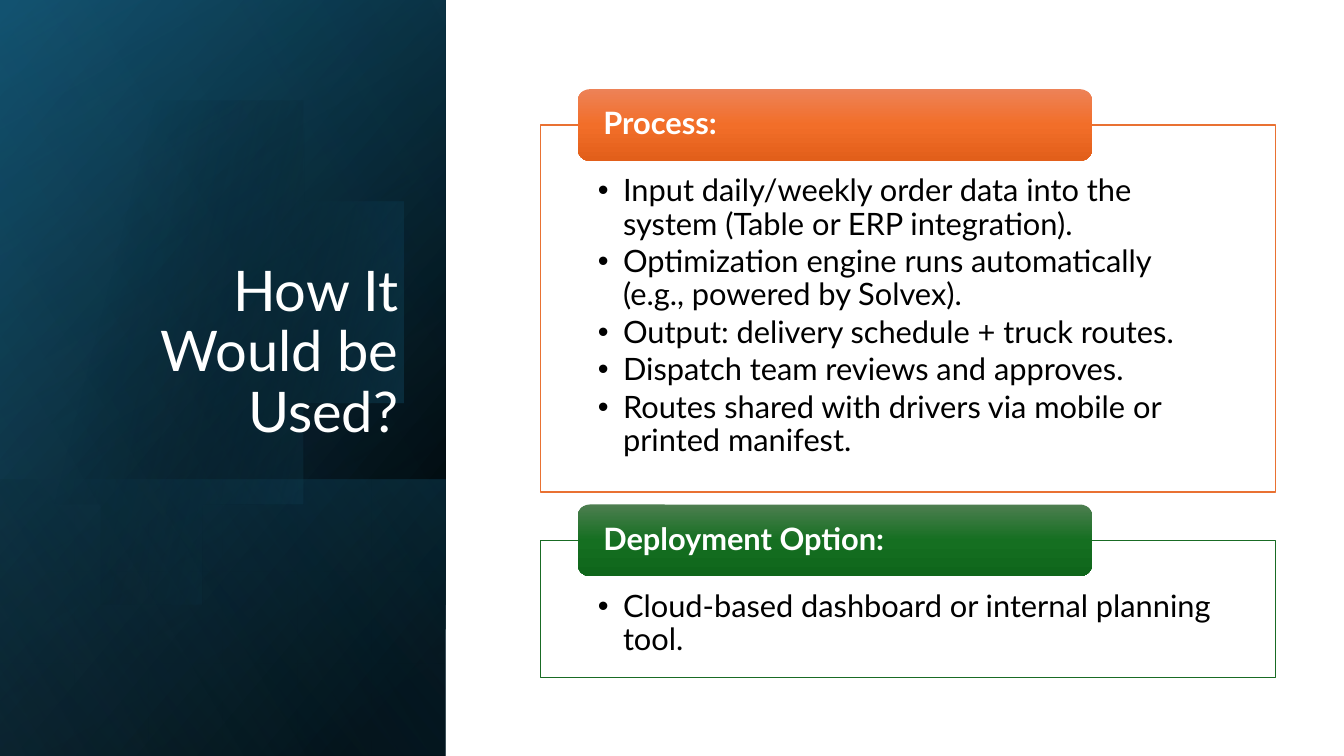
from math import acos, cos, pi, sin

from pptx import Presentation
from pptx.dml.color import RGBColor
from pptx.enum.shapes import MSO_SHAPE as SHAPE
from pptx.enum.text import MSO_ANCHOR as ANCHOR, MSO_AUTO_SIZE as AUTO, PP_ALIGN as ALIGN
from pptx.oxml import parse_xml
from pptx.oxml.ns import nsdecls, qn
from pptx.util import Inches, Pt

TITLE = "How It Would be Used?"
C = {"white": "FFFFFF", "black": "000000", "navy": "104862", "teal": "156082",
     "sky": "46B1E1", "orange": "E97132", "green": "196B24"}
FONT = "Lato"

# heading, bullets, line colour, heading gradient, frame top and height
SECTIONS = [
    ("Process:",
     ["Input daily/weekly order data into the system (Table or ERP integration).",
      "Optimization engine runs automatically (e.g., powered by Solvex).",
      "Output: delivery schedule + truck routes.",
      "Dispatch team reviews and approves.",
      "Routes shared with drivers via mobile or printed manifest."],
     "orange", ["ED8257", "F26E29", "E25F1A"], 1.24, 3.64),
    ("Deployment Option:",
     ["Cloud-based dashboard or internal planning tool."],
     "green", ["4D7E50", "156F21", "0F661B"], 5.36, 1.36),
]

SLIDE_W, SLIDE_H = 13.33, 7.5
PANEL_W = 4.42
FRAME_X, FRAME_W = 5.36, 7.29
HEAD_X, HEAD_W, HEAD_H = FRAME_X + 0.37, 0.7 * FRAME_W, 0.71

# panel layers: height, gradient angle, stops as (position, colour, opacity)
LAYERS_BELOW = [
    (SLIDE_H, 50, [(8, C["black"], 100), (100, C["navy"], 100)]),
    (SLIDE_H, 30, [(0, C["black"], 0), (99, C["teal"], 46)]),
    (2.74, 130, [(2, C["teal"], 29), (100, C["black"], 30)]),
]
LAYER_ABOVE = (SLIDE_H, 120, [(0, C["black"], 0), (99, C["sky"], 11)])
DISC_X, DISC_Y, DISC_R, DISC_LEFT = 1.45, 3.38, 2.28, -0.15
DISC_STOPS = [(29, C["black"], 0), (100, C["teal"], 43)]


def rgb(name):
    return RGBColor.from_string(C[name])


def paint(sp, angle, stops):
    """Give a shape a linear gradient with no outline or shadow."""
    sp.shadow.inherit = False
    sp.line.fill.background()
    sp.fill.background()
    gs = "".join(
        f'<a:gs pos="{pos * 1000}"><a:srgbClr val="{color}">'
        f'<a:alpha val="{alpha * 1000}"/></a:srgbClr></a:gs>'
        for pos, color, alpha in stops)
    spPr = sp._element.spPr
    spPr.replace(spPr.find(qn("a:noFill")), parse_xml(
        f'<a:gradFill {nsdecls("a")} rotWithShape="1"><a:gsLst>{gs}</a:gsLst>'
        f'<a:lin ang="{angle * 60000}" scaled="0"/></a:gradFill>'))


def add_layer(s, height, angle, stops):
    """Add a quarter-turned, mirrored rectangle at the foot of the panel."""
    x, y = (PANEL_W - height) / 2, SLIDE_H - (height + PANEL_W) / 2
    sp = s.shapes.add_shape(SHAPE.RECTANGLE, Inches(x), Inches(y),
                            Inches(height), Inches(PANEL_W))
    sp.rotation = 90
    sp._element.spPr.find(qn("a:xfrm")).set("flipH", "1")
    paint(sp, angle, stops)


def add_disc(s):
    """Add a circle cut straight at its left side."""
    end = acos((DISC_LEFT - DISC_X) / DISC_R)
    steps = 120
    angles = [end * (2 * i / steps - 1) for i in range(steps + 1)]
    points = [(DISC_X + DISC_R * cos(a), DISC_Y + DISC_R * sin(a)) for a in angles]
    builder = s.shapes.build_freeform(*points[0], scale=Inches(1))
    builder.add_line_segments(points[1:], close=True)
    paint(builder.convert_to_shape(), 14, DISC_STOPS)


def place(sp, x, y, w, h):
    sp.left, sp.top, sp.width, sp.height = map(Inches, (x, y, w, h))


def set_frame(tf, insets, anchor):
    tf.word_wrap, tf.auto_size, tf.vertical_anchor = True, AUTO.NONE, anchor
    tf.margin_left, tf.margin_top, tf.margin_right, tf.margin_bottom = map(Inches, insets)


def style(p, size, color, align=ALIGN.LEFT, bold=False, after=0):
    p.alignment, p.line_spacing = align, 0.9
    p.space_before, p.space_after = Pt(0), Pt(after)
    p.font.name, p.font.size, p.font.bold = FONT, Pt(size), bold
    p.font.color.rgb = rgb(color)


def add_section(s, frame, heading, bullets, line, shades, top, height):
    place(frame, FRAME_X, top, FRAME_W, height)
    frame.fill.solid()
    frame.fill.fore_color.rgb = rgb("white")
    frame.line.color.rgb = rgb(line)
    frame.line.width = Pt(1)
    tf = frame.text_frame
    tf.text = "\n".join(bullets)
    set_frame(tf, (0.57, 0.5, 0.57, 0.17), ANCHOR.TOP)
    for p in tf.paragraphs:
        style(p, 22, "black", after=3)
        pPr = p._p.get_or_add_pPr()
        pPr.set("marL", str(Inches(0.25)))
        pPr.set("indent", str(-Inches(0.25)))

    head = s.shapes.add_shape(SHAPE.ROUNDED_RECTANGLE, Inches(HEAD_X),
                              Inches(top - HEAD_H / 2), Inches(HEAD_W), Inches(HEAD_H))
    paint(head, 90, [(50 * i, shade, 100) for i, shade in enumerate(shades)])
    head.text_frame.text = heading
    set_frame(head.text_frame, (0.22, 0, 0.22, 0), ANCHOR.MIDDLE)
    style(head.text_frame.paragraphs[0], 22, "white", bold=True)


def main():
    prs = Presentation()
    prs.slide_width, prs.slide_height = Inches(SLIDE_W), Inches(SLIDE_H)
    s = prs.slides.add_slide(prs.slide_layouts[3])  # Two Content
    title, *frames = s.placeholders
    frames = frames[:2]

    for layer in LAYERS_BELOW:
        add_layer(s, *layer)
    add_disc(s)
    add_layer(s, *LAYER_ABOVE)

    s.shapes._spTree.append(title._element)  # in front of the panel
    place(title, 0.64, 1.84, 3.41, 2.62)
    title.text_frame.text = TITLE
    set_frame(title.text_frame, (0.1, 0.05, 0.1, 0.05), ANCHOR.BOTTOM)
    style(title.text_frame.paragraphs[0], 40, "white", ALIGN.RIGHT)

    for frame, section in zip(frames, SECTIONS):
        add_section(s, frame, *section)
    prs.save("out.pptx")


if __name__ == "__main__":
    main()
